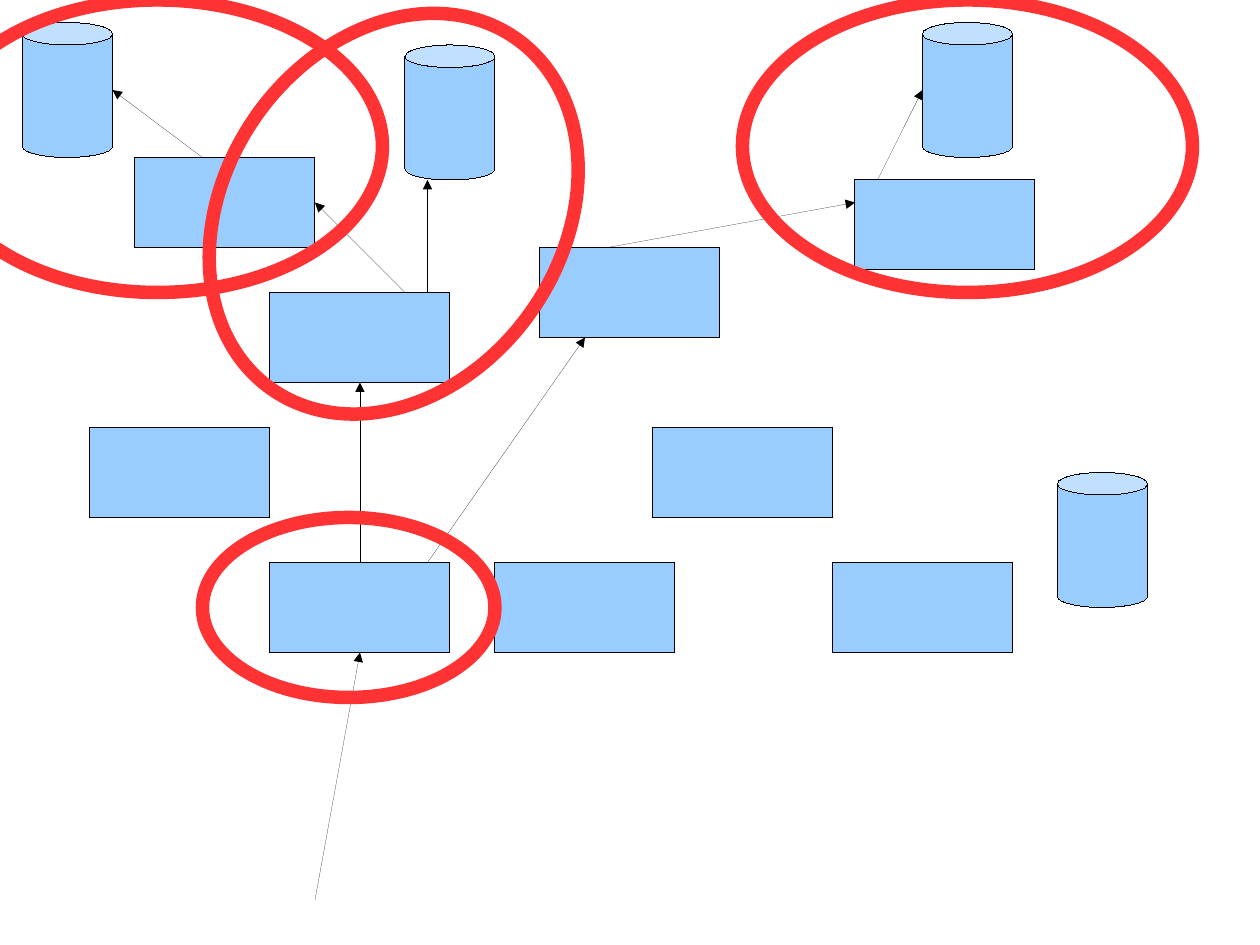
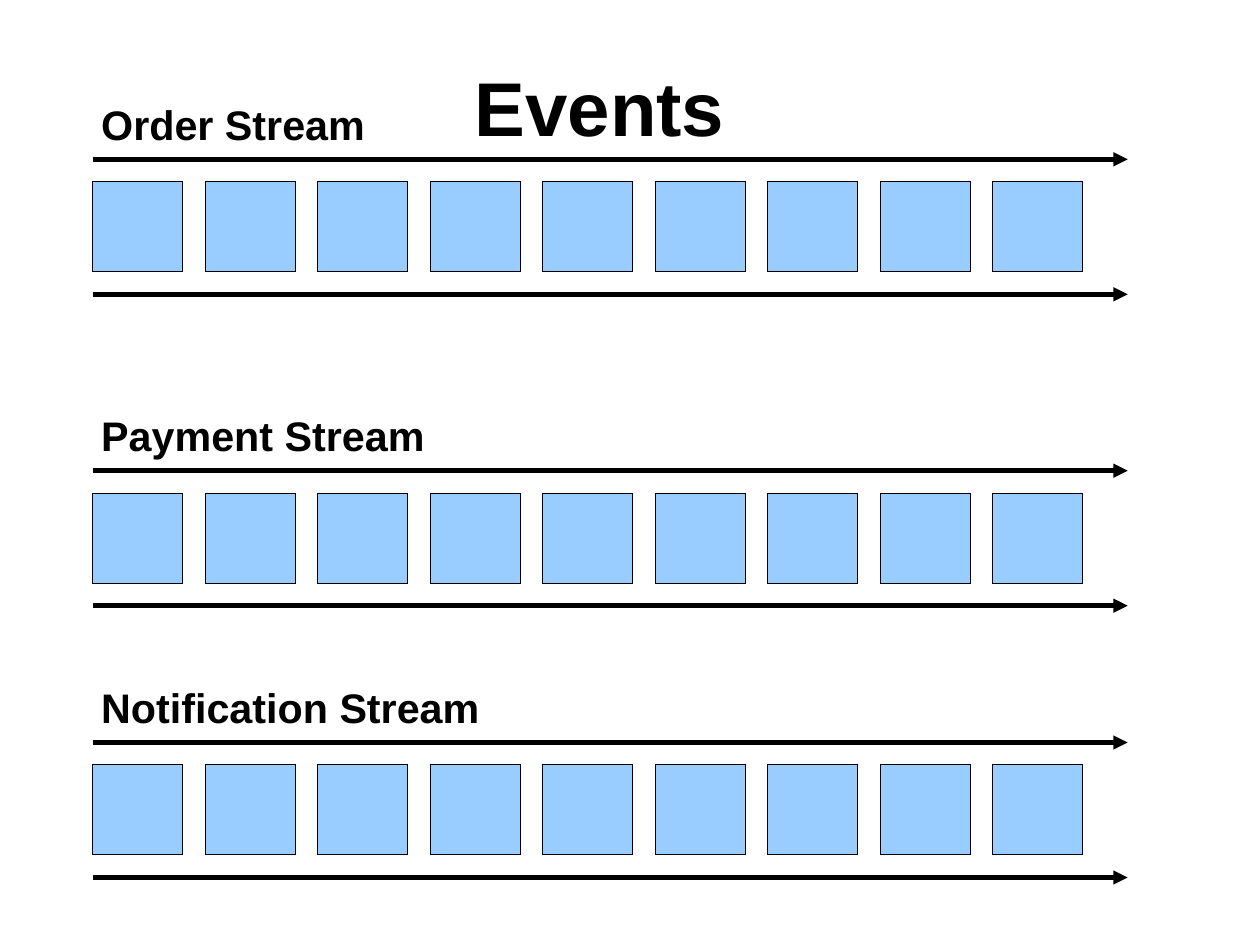
from lxml.etree import SubElement
from pptx import Presentation
from pptx.dml.color import RGBColor
from pptx.enum.shapes import MSO_CONNECTOR, MSO_SHAPE
from pptx.enum.text import MSO_ANCHOR, MSO_AUTO_SIZE, PP_ALIGN
from pptx.oxml.ns import qn
from pptx.util import Inches, Pt

BLACK = RGBColor(0x00, 0x00, 0x00)
BLUE = RGBColor(0x99, 0xCC, 0xFF)
RED = RGBColor(0xFF, 0x33, 0x33)
FONT = "Arial"
HAIRLINE = Pt(0.01)
TITLE_ONLY, BLANK = 5, 6
UNITS_PER_INCH = 2.54


def grid(*values):
    """Turn grid units of one centimetre into lengths."""
    return [Inches(value / UNITS_PER_INCH) for value in values]


def write_text(frame, text, size, bold=True, color=BLACK, align=PP_ALIGN.LEFT):
    """Put one formatted paragraph into a text frame."""
    frame.text = text
    frame.word_wrap = True
    frame.auto_size = MSO_AUTO_SIZE.NONE
    frame.vertical_anchor = MSO_ANCHOR.TOP
    paragraph = frame.paragraphs[0]
    paragraph.alignment = align
    font = paragraph.runs[0].font
    font.name, font.size, font.bold = FONT, Pt(size), bold
    font.color.rgb = color


class Deck:
    """Shared style, the current slide and the container that is drawn into."""

    def __init__(self, width, height):
        """Start a presentation of the given size in grid units."""
        self.presentation = Presentation()
        (self.presentation.slide_width,
         self.presentation.slide_height) = grid(width, height)

    def add_slide(self, layout):
        """Add a slide and make it the current one."""
        layouts = self.presentation.slide_layouts
        self.slide = self.presentation.slides.add_slide(layouts[layout])
        self.shapes = self.slide.shapes

    def start_group(self):
        """Send the next elements into a new group."""
        self.shapes = self.slide.shapes.add_group_shape().shapes

    def title(self, text, *box):
        """Place and format the title placeholder."""
        shape = self.slide.shapes.title
        shape.left, shape.top, shape.width, shape.height = grid(*box)
        write_text(shape.text_frame, text, 48, align=PP_ALIGN.CENTER)

    def label(self, text, *box):
        """Add a bold heading in a text box."""
        text_box = self.shapes.add_textbox(*grid(*box))
        write_text(text_box.text_frame, text, 26)

    def shape(self, kind, *box, fill=BLUE, line=BLACK, line_width=HAIRLINE):
        """Add a preset shape; fill None leaves it hollow."""
        shape = self.shapes.add_shape(kind, *grid(*box))
        shape.shadow.inherit = False
        if fill is None:
            shape.fill.background()
        else:
            shape.fill.solid()
            shape.fill.fore_color.rgb = fill
        shape.line.color.rgb = line
        shape.line.width = line_width
        return shape

    def service(self, left, top):
        """Add a service box."""
        self.shape(MSO_SHAPE.RECTANGLE, left, top, 4, 2)

    def database(self, left, top):
        """Add a database cylinder."""
        self.shape(MSO_SHAPE.CAN, left, top, 2, 3)

    def boundary(self, *box, rotation=0):
        """Add a hollow red ellipse around related parts."""
        ellipse = self.shape(MSO_SHAPE.OVAL, *box, fill=None, line=RED,
                             line_width=Pt(8.5))
        ellipse.rotation = rotation

    def arrow(self, start, end, width=HAIRLINE):
        """Add a straight black arrow between two points."""
        connector = self.shapes.add_connector(
            MSO_CONNECTOR.STRAIGHT, *grid(*start, *end))
        connector.line.color.rgb = BLACK
        connector.line.width = width
        properties = connector._element.spPr
        SubElement(properties.find(qn("a:ln")), qn("a:tailEnd"), type="triangle")
        SubElement(properties, qn("a:effectLst"))

    def stream(self, name, top, label_width, count=9):
        """Add a named row of events between two arrows, as one group."""
        left, length, step, size = 2.06, 23, 2.5, 2
        self.start_group()
        for line_top in (top, top + 3):
            self.arrow((left, line_top), (left + length, line_top), Pt(3))
        for index in range(count):
            self.shape(MSO_SHAPE.RECTANGLE, left + index * step, top + 0.5,
                       size, size)
        self.label(name, 2, top - 1.46, label_width, 1.27)


def build_services(deck):
    """Draw the services, their databases, calls and boundaries."""
    deck.add_slide(BLANK)
    for left, top in ((11, 12.5), (6, 12.5), (14.5, 9.5), (6, 6.5), (19, 4),
                      (18.5, 12.5), (12, 5.5), (3, 3.5), (2, 9.5)):
        deck.service(left, top)
    for left, top in ((9, 1), (20.5, 0.5), (23.5, 10.5), (0.5, 0.5)):
        deck.database(left, top)
    for start, end in (((7, 20), (8, 14.5)),
                       ((8, 12.5), (8, 8.5)),
                       ((9, 6.5), (7, 4.5)),
                       ((4.5, 3.5), (2.5, 2)),
                       ((9.5, 6.5), (9.5, 4)),
                       ((9.5, 12.5), (13, 7.5)),
                       ((13.5, 5.5), (19, 4.5)),
                       ((19.5, 4), (20.5, 2))):
        deck.arrow(start, end)
    deck.boundary(-1.5, 0, 10, 6.5)
    deck.boundary(16.5, 0, 10, 6.5)
    deck.boundary(5, 0, 7.5, 9.5, rotation=34.6)
    deck.boundary(4.5, 11.5, 6.5, 4)


def build_events(deck):
    """Draw the three event streams."""
    deck.add_slide(TITLE_ONLY)
    deck.title("Events", 8.64, 1.22, 9.37, 2.79)
    deck.stream("Order Stream", 3.54, 6.5)
    deck.stream("Payment Stream", 10.46, 7.8)
    deck.stream("Notification Stream", 16.5, 9.05)


deck = Deck(28, 21)
build_services(deck)
build_events(deck)
deck.presentation.save("out.pptx")
